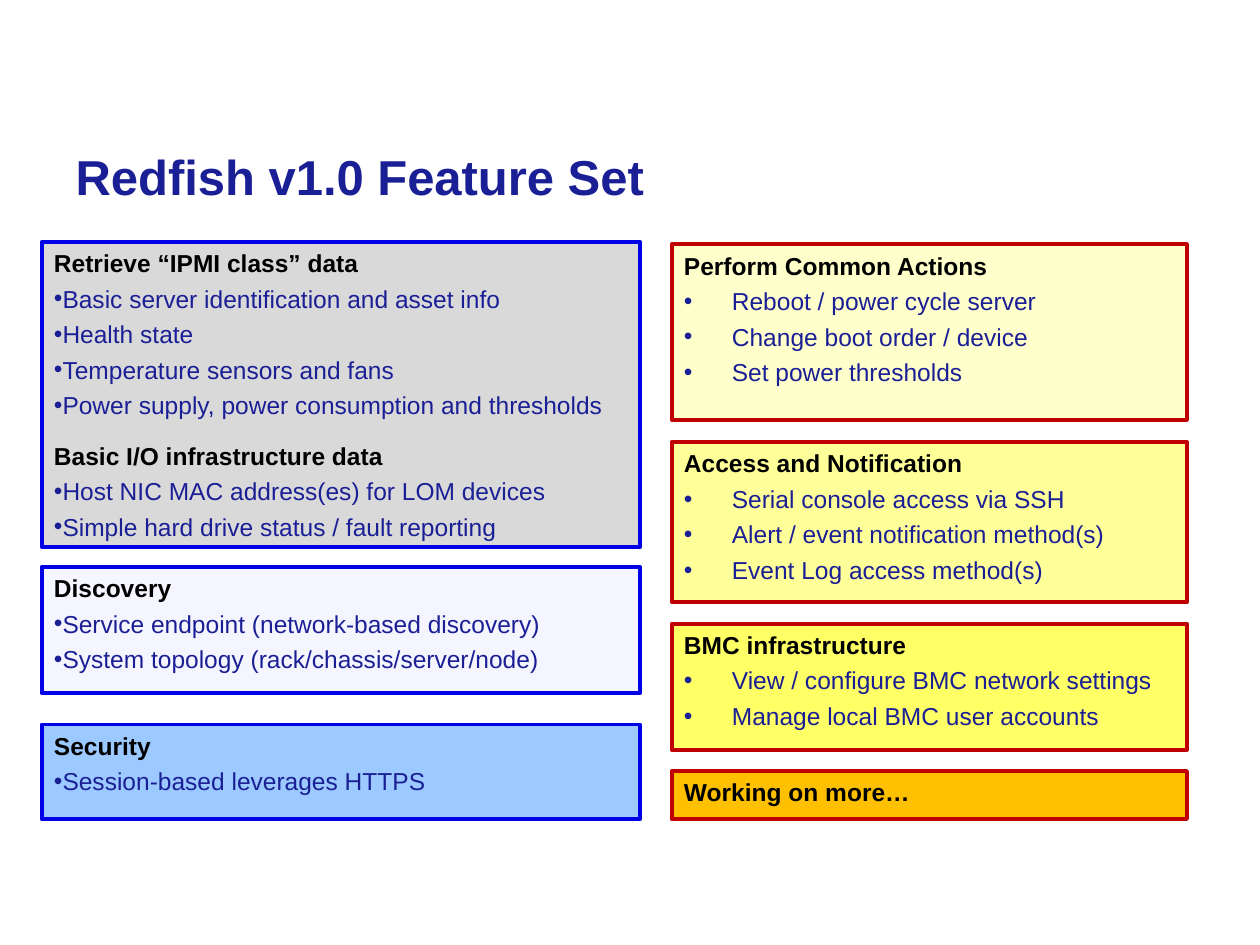
from pptx import Presentation
from pptx import util as u
from pptx.dml.color import RGBColor
from pptx.enum import shapes, text
from pptx.oxml.ns import qn
from lxml import etree

HUES = {
    "head": "000000", "body": "1B1F95", "blue": "0000E6", "red": "C00000",
    "gray": "D9D9D9", "pale": "F5F5FF", "sky": "9CC9FF",
    "cream": "FFFFCC", "lemon": "FFFF99", "yellow": "FFFF66", "amber": "FFC000",
}


class Deck:
    font = "Arial"
    size = 14
    gap = 3.5       # points above a line
    group = 12      # points above a new group

    def __init__(self):
        self.prs = Presentation()
        self.prs.slide_width = u.Inches(10)
        self.prs.slide_height = u.Inches(7.5)
        self.slide = self.prs.slides.add_slide(self.prs.slide_layouts[5])

    def hue(self, name):
        return RGBColor.from_string(HUES[name])

    def run(self, par, words, size, hue, bold):
        run = par.add_run()
        run.text = words
        run.font.name = self.font
        run.font.size = u.Pt(size)
        run.font.bold = bold
        run.font.color.rgb = self.hue(hue)

    def title(self, words, left, top, width, height):
        box = self.slide.shapes.title
        box.left, box.top = u.Inches(left), u.Inches(top)
        box.width, box.height = u.Inches(width), u.Inches(height)
        box.text_frame.vertical_anchor = text.MSO_ANCHOR.MIDDLE
        par = box.text_frame.paragraphs[0]
        par.alignment = text.PP_ALIGN.LEFT
        self.run(par, words, 28, "body", True)

    def bullet(self, par, indent):
        props = par._p.get_or_add_pPr()
        props.set("marL", str(u.Inches(indent)))
        props.set("indent", str(-u.Inches(indent)))
        font = etree.SubElement(props, qn("a:buFont"))
        font.set("typeface", self.font)
        etree.SubElement(props, qn("a:buChar")).set("char", "•")

    def panel(self, left, top, width, height, fill, line, indent, groups):
        box = self.slide.shapes.add_shape(
            shapes.MSO_SHAPE.RECTANGLE, u.Inches(left), u.Inches(top),
            u.Inches(width), u.Inches(height))
        box.shadow.inherit = False
        box.fill.solid()
        box.fill.fore_color.rgb = self.hue(fill)
        box.line.color.rgb = self.hue(line)
        box.line.width = u.Pt(2.25)
        frame = box.text_frame
        frame.word_wrap = True
        frame.vertical_anchor = text.MSO_ANCHOR.TOP
        par = frame.paragraphs[0]
        for n, (head, items) in enumerate(groups):
            if n:
                par = frame.add_paragraph()
            par.alignment = text.PP_ALIGN.LEFT
            par.space_before = u.Pt(self.group if n else self.gap)
            self.run(par, head, self.size, "head", True)
            for item in items:
                par = frame.add_paragraph()
                par.alignment = text.PP_ALIGN.LEFT
                par.space_before = u.Pt(self.gap)
                self.bullet(par, indent)
                self.run(par, item, self.size, "body", False)


# Panels of each column: top, height, fill, groups of heading and items
DATA = [
    (1.92, 2.42, "gray", [
        ("Retrieve “IPMI class” data", [
            "Basic server identification and asset info",
            "Health state",
            "Temperature sensors and fans",
            "Power supply, power consumption and thresholds"]),
        ("Basic I/O infrastructure data", [
            "Host NIC MAC address(es) for LOM devices",
            "Simple hard drive status / fault reporting"])]),
    (4.5, 1, "pale", [
        ("Discovery", [
            "Service endpoint (network-based discovery)",
            "System topology (rack/chassis/server/node)"])]),
    (5.75, 0.75, "sky", [
        ("Security", ["Session-based leverages HTTPS"])]),
]
TASKS = [
    (1.94, 1.39, "cream", [
        ("Perform Common Actions", [
            "Reboot / power cycle server",
            "Change boot order / device",
            "Set power thresholds"])]),
    (3.51, 1.27, "lemon", [
        ("Access and Notification", [
            "Serial console access via SSH",
            "Alert / event notification method(s)",
            "Event Log access method(s)"])]),
    (4.95, 1, "yellow", [
        ("BMC infrastructure", [
            "View / configure BMC network settings",
            "Manage local BMC user accounts"])]),
    (6.12, 0.38, "amber", [("Working on more…", [])]),
]
# Columns: left, width, line, bullet indent, panels
COLUMNS = [
    (0.33, 4.75, "blue", 0, DATA),
    (5.33, 4.09, "red", 0.38, TASKS),
]


def main():
    deck = Deck()
    deck.title("Redfish v1.0 Feature Set", 0.5, 1.02, 9.33, 0.75)
    for left, width, line, indent, panels in COLUMNS:
        for top, height, fill, groups in panels:
            deck.panel(left, top, width, height, fill, line, indent, groups)
    deck.prs.save("out.pptx")


if __name__ == "__main__":
    main()
